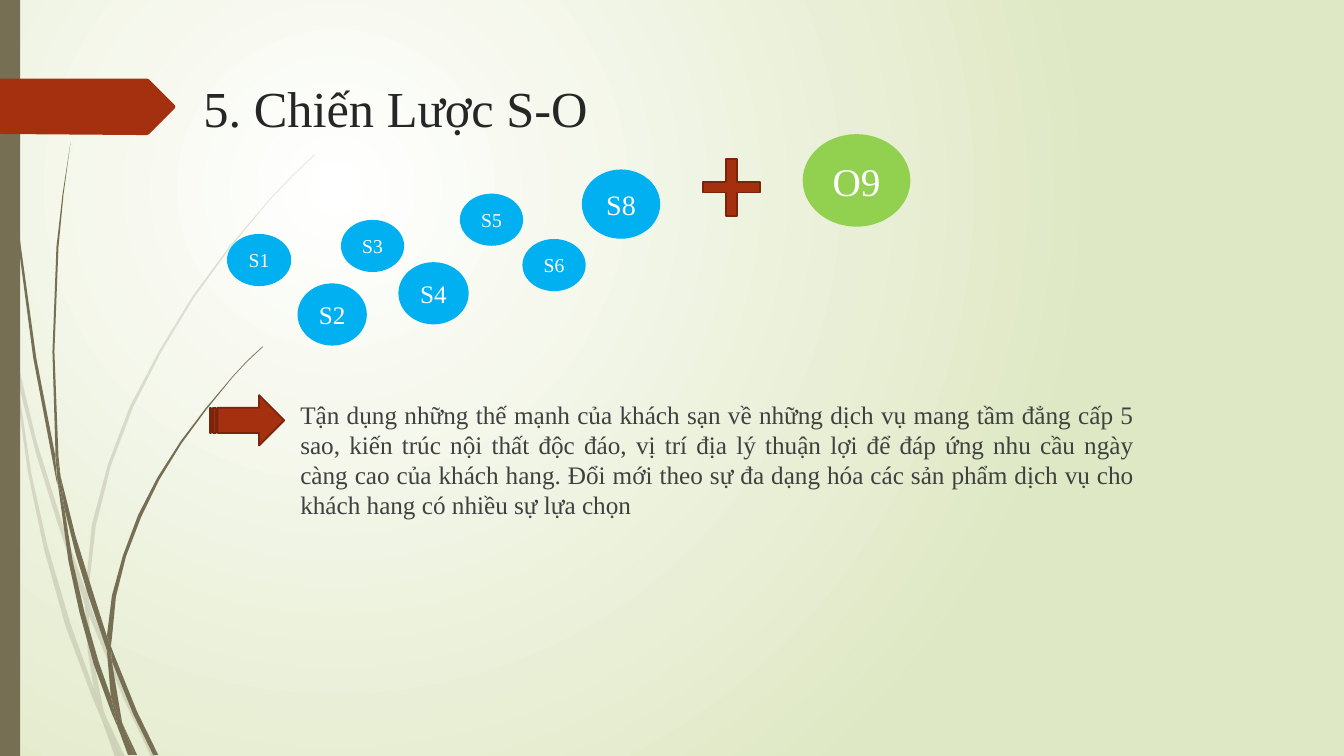
"""Build the S-O strategy slide with its wisp background."""
import pptx
import pptx.util
import pptx.dml.color
import pptx.enum.shapes
import pptx.enum.text
import pptx.oxml.ns
from lxml import etree

RGB = pptx.dml.color.RGBColor
SHAPE = pptx.enum.shapes.MSO_SHAPE
ALIGN = pptx.enum.text.PP_ALIGN
ANCHOR = pptx.enum.text.MSO_ANCHOR
qn = pptx.oxml.ns.qn

WHITE, MIST = RGB(0xFF, 0xFF, 0xFF), RGB(0xDF, 0xE8, 0xC4)
OLIVE, RUST, DARK_RUST = RGB(0x76, 0x6F, 0x54), RGB(0xA5, 0x30, 0x10), RGB(0x7A, 0x24, 0x0C)
BLUE, GREEN = RGB(0x00, 0xB0, 0xF0), RGB(0x92, 0xD0, 0x50)
INK, GREY = RGB(0x26, 0x26, 0x26), RGB(0x40, 0x40, 0x40)
FONT = "Times New Roman"
PX = 9144

TITLE = "5. Chiến Lược S-O"
BODY = ("Tận dụng những thế mạnh của khách sạn về những dịch vụ mang tầm đẳng cấp 5 sao, "
        "kiến trúc nội thất độc đáo, vị trí địa lý thuận lợi để đáp ứng nhu cầu ngày càng cao "
        "của khách hang. Đổi mới theo sự đa dạng hóa các sản phẩm dịch vụ cho khách hang có "
        "nhiều sự lựa chọn")

BUBBLES = [
    ("S1", (226, 233, 62, 50), 14, BLUE),
    ("S2", (296, 282, 67, 60), 18, BLUE),
    ("S6", (519, 238, 61, 50), 14, BLUE),
    ("S3", (339, 219, 61, 50), 14, BLUE),
    ("S5", (457, 193, 61, 50), 14, BLUE),
    ("S4", (396, 261, 68, 60), 18, BLUE),
    ("S8", (578, 169, 76, 67), 20, BLUE),
    ("O9", (797, 134, 105, 90), 28, GREEN),
]

LIGHT_WISP = [
    [(11, 350), (9, 322), (0, 282), (0, 299), (10, 344)],
    [(58, 522), (84, 599), (85, 586), (62, 520), (36, 437), (14, 345), (17, 376), (36, 451)],
    [(92, 607), (88, 596), (88, 610), (123, 694), (150, 751), (155, 751), (127, 692)],
    [(119, 751), (124, 751), (105, 711)],
    [(93, 683), (70, 619), (47, 541), (31, 469), (17, 376), (11, 350), (28, 470), (44, 546),
     (65, 621), (92, 693), (101, 714), (99, 707)],
    [(84, 599), (87, 646), (93, 683), (96, 692), (105, 711), (103, 706), (91, 646), (88, 610),
     (88, 608)],
    [(88, 584), (95, 522), (110, 462), (132, 404), (160, 349), (192, 296), (229, 245),
     (268, 198), (290, 175), (312, 154), (312, 153), (289, 175), (268, 197), (228, 244),
     (191, 294), (158, 348), (129, 403), (107, 461), (91, 521), (85, 584), (85, 586), (88, 596)],
    [(101, 714), (114, 751), (119, 751)],
    [(88, 608), (88, 610), (88, 596), (85, 586), (84, 599)],
    [(96, 692), (93, 683), (99, 707), (101, 714), (119, 751), (105, 711)],
]
DARK_WISP = [
    [(7, 110), (17, 233), (33, 355), (56, 477), (57, 481), (55, 457), (55, 453), (36, 355),
     (19, 232), (8, 109), (5, 48), (4, 0), (3, 0), (4, 48)],
    [(88, 592), (106, 645), (106, 633), (106, 631), (93, 590), (75, 532), (60, 472), (64, 505),
     (75, 549)],
    [(113, 649), (110, 641), (111, 656), (132, 708), (152, 749), (157, 749), (136, 706)],
    [(110, 691), (98, 657), (84, 608), (72, 556), (64, 505), (57, 477), (68, 557), (79, 608),
     (93, 659), (111, 708), (117, 722), (116, 717)],
    [(60, 472), (58, 453), (54, 349), (58, 245), (63, 193), (70, 141), (62, 193), (56, 245),
     (52, 349), (55, 449)],
    [(133, 749), (136, 749), (122, 719)],
    [(57, 477), (64, 505), (60, 472), (55, 449), (55, 453)],
    [(111, 633), (115, 592), (125, 552), (140, 513), (158, 476), (180, 440), (205, 406),
     (231, 374), (245, 359), (261, 344), (260, 344), (245, 358), (231, 373), (204, 405),
     (179, 438), (156, 474), (137, 511), (122, 551), (111, 591), (106, 631), (110, 641)],
    [(117, 722), (127, 749), (131, 749)],
    [(106, 645), (110, 691), (116, 706), (122, 719), (121, 716), (111, 656), (109, 651)],
    [(106, 645), (109, 651), (111, 656), (110, 641), (106, 631), (106, 633)],
    [(116, 706), (110, 691), (116, 717), (117, 722), (130, 749), (133, 749), (122, 719)],
]
TAG = [(173, 108), (148, 133), (146, 134), (136, 134), (0, 133), (0, 78), (136, 78), (146, 78),
       (148, 79), (173, 104), (174, 106)]


def px(*lengths):
    return [pptx.util.Emu(n * PX) for n in lengths]


def paint(sp, fill, line=None):
    sp.shadow.inherit = False
    sp.fill.solid()
    sp.fill.fore_color.rgb = fill
    if line is None:
        sp.line.fill.background()
    else:
        sp.line.color.rgb = line
        sp.line.width = pptx.util.Pt(1.25)
    return sp


def add_shape(s, kind, box, fill, line=None):
    return paint(s.shapes.add_shape(kind, *px(*box)), fill, line)


def add_outline(shapes, points, fill):
    fb = shapes.build_freeform(*points[0], scale=PX)
    fb.add_line_segments(points[1:], close=True)
    return paint(fb.convert_to_shape(), fill)


def add_wisp(s, pieces, alpha=None):
    group = s.shapes.add_group_shape()
    for points in pieces:
        sp = add_outline(group.shapes, points, OLIVE)
        if alpha is not None:
            color = sp.element.spPr.find(qn("a:solidFill"))[0]
            etree.SubElement(color, qn("a:alpha"), val=str(alpha * 1000))


def write(sp, text, size, color, align=ALIGN.LEFT, anchor=ANCHOR.TOP):
    tf = sp.text_frame
    tf.word_wrap = True
    tf.vertical_anchor = anchor
    p = tf.paragraphs[0]
    p.alignment = align
    r = p.add_run()
    r.text = text
    r.font.name = FONT
    r.font.size = pptx.util.Pt(size)
    r.font.color.rgb = color


def set_background(s):
    fill = s.background.fill
    fill.gradient()
    for stop, color, position in zip(fill.gradient_stops, (WHITE, MIST), (0, 1)):
        stop.color.rgb = color
        stop.position = position
    grad = s.element.find(".//" + qn("a:gradFill"))
    grad.remove(grad.find(qn("a:lin")))
    circle = etree.SubElement(grad, qn("a:path"), path="circle")
    etree.SubElement(circle, qn("a:fillToRect"), l="50000", t="50000", r="100000", b="100000")


def main():
    prs = pptx.Presentation()
    prs.slide_width, prs.slide_height = px(1333, 750)
    s = prs.slides.add_slide(prs.slide_layouts[6])
    set_background(s)

    add_wisp(s, LIGHT_WISP, alpha=20)
    add_wisp(s, DARK_WISP)
    add_shape(s, SHAPE.RECTANGLE, (0, 0, 20, 750), OLIVE)
    add_outline(s.shapes, TAG, RUST)

    write(s.shapes.add_textbox(*px(192, 72, 933, 80)), TITLE, 36, INK)
    write(s.shapes.add_textbox(*px(288, 391, 847, 247)), BODY, 18, GREY, align=ALIGN.JUSTIFY)

    for label, box, size, color in BUBBLES:
        bubble = add_shape(s, SHAPE.OVAL, box, color, color)
        write(bubble, label, size, WHITE, align=ALIGN.CENTER, anchor=ANCHOR.MIDDLE)

    plus = add_shape(s, SHAPE.CROSS, (697, 158, 57, 56), RUST, DARK_RUST)
    plus.adjustments[0] = 0.41
    add_shape(s, SHAPE.STRIPED_RIGHT_ARROW, (208, 392, 74, 50), RUST, DARK_RUST)
    prs.save("out.pptx")


if __name__ == "__main__":
    main()
